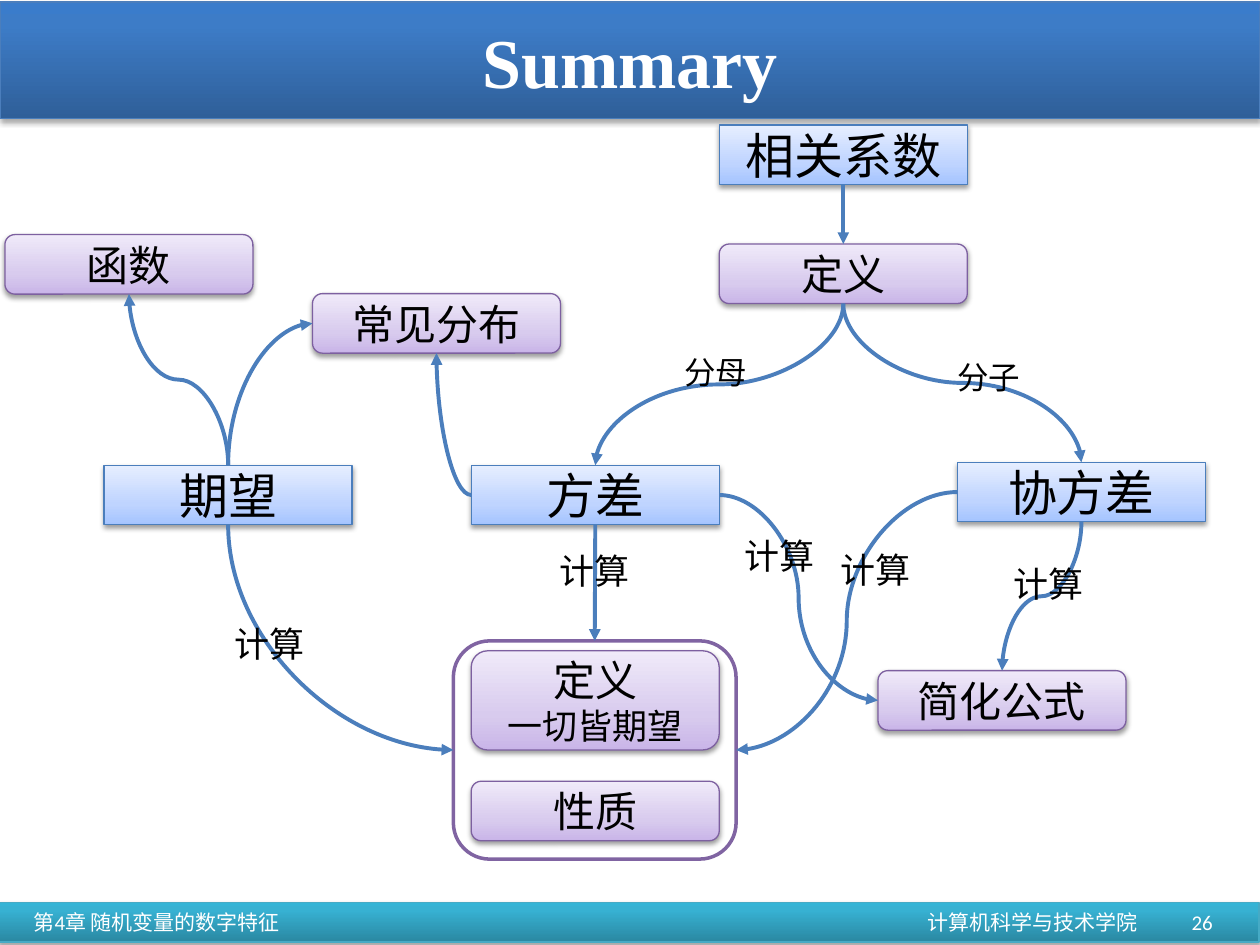
import lxml.etree
import pptx
import pptx.dml.color
import pptx.enum.shapes
import pptx.enum.text
import pptx.oxml.ns
import pptx.util

Cm, Pt, qn = pptx.util.Cm, pptx.util.Pt, pptx.oxml.ns.qn
SHAPE = pptx.enum.shapes.MSO_SHAPE
CONNECTOR = pptx.enum.shapes.MSO_CONNECTOR
ALIGN = pptx.enum.text.PP_ALIGN
TOP, LEFT, BOTTOM, RIGHT = range(4)  # connection sites of a rectangle
NODE_WIDTH, NODE_HEIGHT = 5, 1.2

BANNER = dict(stops=[(0, "2F5F99"), (80, "3D7CC7"), (100, "3A7CCB")], line="4B7EBC", shadow=35)
FOOTER = dict(stops=[(0, "2A88A2"), (80, "37B1D2"), (100, "34B4D6")], line="46AAC5", shadow=35)
TOPIC = dict(stops=[(0, "A4C4FF"), (35, "BFD4FF"), (100, "E6EEFF")], line="4B7EBC", shadow=38)
DETAIL = dict(stops=[(0, "C9B5E8"), (35, "D8CBEE"), (100, "F0EAF9")], line="7D60A0", shadow=38)


def color(value):
    return pptx.dml.color.RGBColor.from_string(value)


def add_child(parent, tag, **attributes):
    child = lxml.etree.SubElement(parent, qn(tag))
    for name, value in attributes.items():
        child.set(name, str(value))
    return child


def write(shape, lines, font, text_color, align, bold=False, wrap=True):
    """Fill the shape with (text, size) lines, centred vertically."""
    frame = shape.text_frame
    frame.word_wrap = wrap
    frame.vertical_anchor = pptx.enum.text.MSO_ANCHOR.MIDDLE
    for index, (text, size) in enumerate(lines):
        paragraph = frame.add_paragraph() if index else frame.paragraphs[0]
        paragraph.text = text
        paragraph.alignment = align
        paragraph.font.name = font
        paragraph.font.size = Pt(size)
        paragraph.font.bold = bold
        paragraph.font.color.rgb = color(text_color)


def add_text(shapes, box, text, size, font, text_color, align, **options):
    shape = shapes.add_textbox(*map(Cm, box))
    write(shape, [(text, size)], font, text_color, align, **options)


def add_glossy(shapes, kind, box, style):
    """Add a shape with a vertical gradient and a soft shadow."""
    shape = shapes.add_shape(kind, *map(Cm, box))
    shape.fill.gradient()
    shape.fill.gradient_angle = 90
    properties = shape.element.spPr
    stops = properties.find(".//" + qn("a:gsLst"))
    for stop in list(stops):
        stops.remove(stop)
    for position, value in style["stops"]:
        stop = add_child(stops, "a:gs", pos=position * 1000)
        add_child(stop, "a:srgbClr", val=value)
    shape.line.color.rgb = color(style["line"])
    shape.line.width = Pt(0.75)
    shape.shadow.inherit = False
    shadow = add_child(properties.find(qn("a:effectLst")), "a:outerShdw", blurRad=Pt(3.1),
                       dist=Pt(1.7), dir=5400000, rotWithShape=0)
    black = add_child(shadow, "a:srgbClr", val="000000")
    add_child(black, "a:alpha", val=style["shadow"] * 1000)
    return shape


def add_topic(shapes, left, top, text):
    shape = add_glossy(shapes, SHAPE.RECTANGLE, (left, top, NODE_WIDTH, NODE_HEIGHT), TOPIC)
    write(shape, [(text, 28)], "Calibri", "000000", ALIGN.CENTER)
    return shape


def add_detail(shapes, left, top, *lines, height=NODE_HEIGHT):
    shape = add_glossy(shapes, SHAPE.ROUNDED_RECTANGLE, (left, top, NODE_WIDTH, height), DETAIL)
    shape.text_frame.margin_left = shape.text_frame.margin_right = Cm(0.1)
    write(shape, lines, "Calibri", "000000", ALIGN.CENTER)
    return shape


def add_definition_group(slide, left, top):
    """Return the frame that holds the definition and the properties."""
    shapes = slide.shapes.add_group_shape().shapes
    frame = shapes.add_shape(SHAPE.ROUNDED_RECTANGLE, *map(Cm, (left, top, 5.7, 4.4)))
    frame.fill.solid()
    frame.fill.fore_color.rgb = color("FFFFFF")
    frame.line.color.rgb = color("8064A2")
    frame.line.width = Pt(2)
    frame.shadow.inherit = False
    add_detail(shapes, left + 0.36, top + 0.2, ("定义", 24), ("一切皆期望", 20), height=2)
    add_detail(shapes, left + 0.36, top + 2.83, ("性质", 24))
    return frame


def turn_vertical(connector):
    """Make the connector leave its start upwards or downwards."""
    x1, y1, x2, y2 = connector.begin_x, connector.begin_y, connector.end_x, connector.end_y
    rightwards, upwards = x2 > x1, y2 < y1
    width, height = abs(y2 - y1), abs(x2 - x1)
    connector.left, connector.top = (x1 + x2 - width) // 2, (y1 + y2 - height) // 2
    connector.width, connector.height = width, height
    transform = connector.element.spPr.find(qn("a:xfrm"))
    transform.set("rot", str((90 if rightwards == upwards else 270) * 60000))
    transform.set("flipH", str(int(rightwards)))
    transform.set("flipV", str(int(upwards)))


def add_arrow(slide, start, start_site, end, end_site, kind=CONNECTOR.CURVE):
    connector = slide.shapes.add_connector(kind, 0, 0, 0, 0)
    connector.begin_connect(start, start_site)
    connector.end_connect(end, end_site)
    properties = connector.element.spPr
    if kind == CONNECTOR.CURVE:
        if start_site % 2 != end_site % 2:
            properties.find(qn("a:prstGeom")).set("prst", "curvedConnector2")
        if start_site in (TOP, BOTTOM):
            turn_vertical(connector)
    connector.line.color.rgb = color("4B7EBC")
    connector.line.width = Pt(2.25)
    add_child(properties.find(qn("a:ln")), "a:tailEnd", type="triangle")
    add_child(properties, "a:effectLst")


def add_diagram(slide, left, top):
    shapes = slide.shapes

    def topic(x, y, text):
        return add_topic(shapes, left + x, top + y, text)

    def detail(x, y, text):
        return add_detail(shapes, left + x, top + y, (text, 24))

    expectation = topic(2, 6.86, "期望")
    variance = topic(9.4, 6.86, "方差")
    covariance = topic(19.2, 6.8, "协方差")
    correlation = topic(14.4, 0, "相关系数")
    calculation = add_definition_group(slide, left + 9.04, top + 10.4)
    formula = detail(17.6, 11, "简化公式")
    function = detail(0, 2.21, "函数")
    definition = detail(14.4, 2.4, "定义")
    distributions = detail(6.2, 3.4, "常见分布")

    for arrow in (
        (expectation, BOTTOM, calculation, LEFT),
        (variance, BOTTOM, calculation, TOP, CONNECTOR.STRAIGHT),
        (covariance, LEFT, calculation, RIGHT),
        (variance, RIGHT, formula, LEFT),
        (covariance, BOTTOM, formula, TOP),
        (expectation, TOP, distributions, LEFT),
        (expectation, TOP, function, BOTTOM),
        (variance, LEFT, distributions, BOTTOM),
        (correlation, BOTTOM, definition, TOP, CONNECTOR.STRAIGHT),
        (definition, BOTTOM, covariance, TOP),
        (definition, BOTTOM, variance, TOP),
    ):
        add_arrow(slide, *arrow)

    for x, y, text, size in (
        (4.37, 9.9, "计算", 20), (10.92, 8.43, "计算", 20), (14.66, 8.12, "计算", 20),
        (16.59, 8.4, "计算", 20), (20.09, 8.68, "计算", 20),
        (13.44, 4.47, "分母", 18), (18.95, 4.57, "分子", 18),
    ):
        add_text(shapes, (left + x, top + y, 1.93, size * 0.056), text, size,
                 "Lato", "000000", ALIGN.LEFT, wrap=False)


def add_banner(slide, left, top, width, height):
    add_glossy(slide.shapes, SHAPE.RECTANGLE, (left, top, width, height), BANNER)
    add_text(slide.shapes, (left + 1.27, top + 0.2, width - 2.54, 1.96), "Summary", 40,
             "Times New Roman", "FFFFFF", ALIGN.CENTER, bold=True)


def add_footer(slide, left, top, width, height):
    add_glossy(slide.shapes, SHAPE.RECTANGLE, (left, top, width, height), FOOTER)
    for x, text_width, text, align in (
        (0.45, 8, "第4章 随机变量的数字特征", ALIGN.LEFT),
        (15.2, 8, "计算机科学与技术学院", ALIGN.RIGHT),
        (23.2, 1.52, "26", ALIGN.RIGHT),
    ):
        add_text(slide.shapes, (left + x, top, text_width, height), text, 12,
                 "Calibri", "FFFFFF", align)


def main():
    presentation = pptx.Presentation()
    presentation.slide_width, presentation.slide_height = Cm(25.4), Cm(19.05)
    slide = presentation.slides.add_slide(presentation.slide_layouts[6])
    add_footer(slide, -0.02, 18.19, 25.4, 0.8)
    add_banner(slide, 0, 0.04, 25.4, 2.35)
    add_diagram(slide, 0.1, 2.52)
    presentation.save("out.pptx")


if __name__ == "__main__":
    main()
